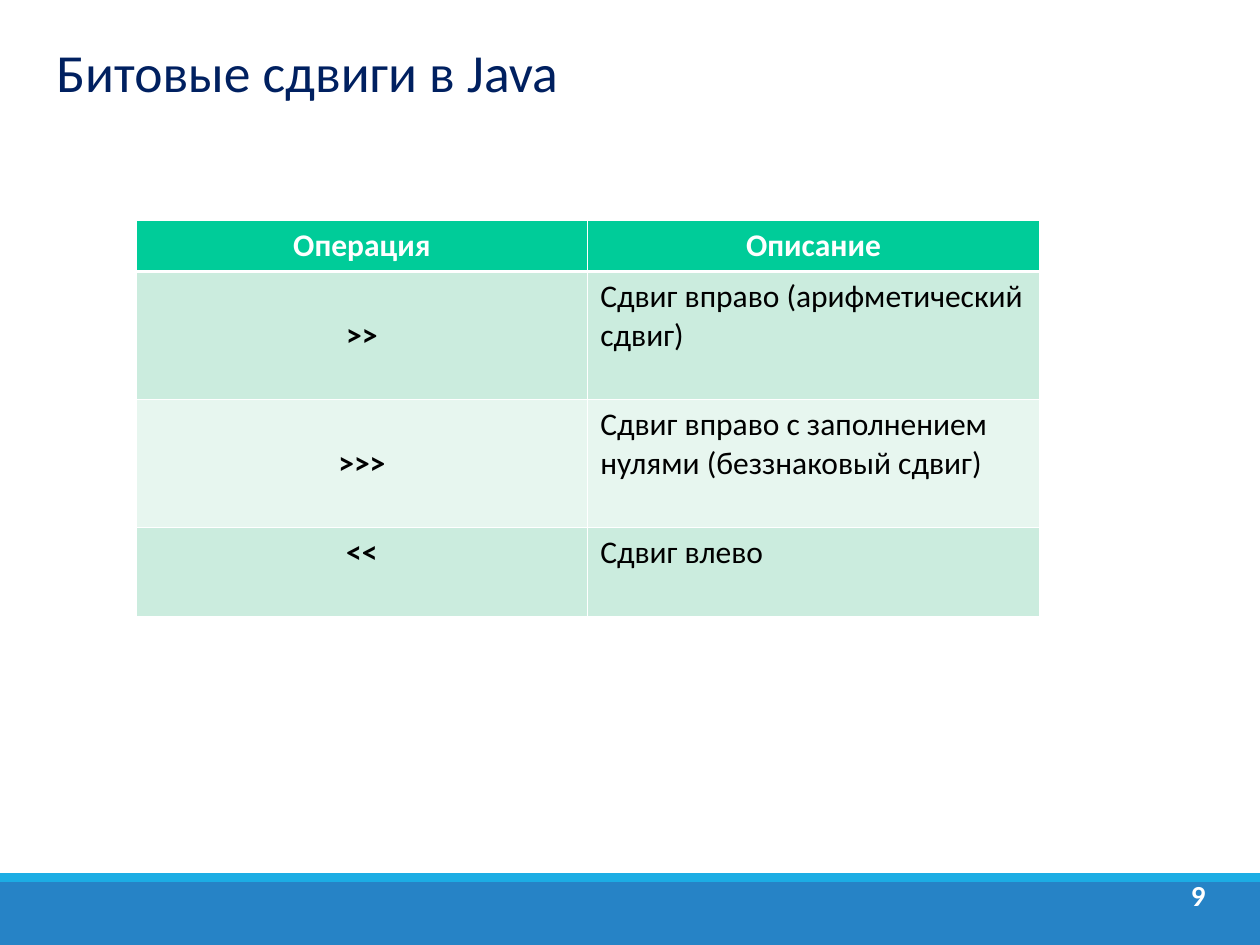
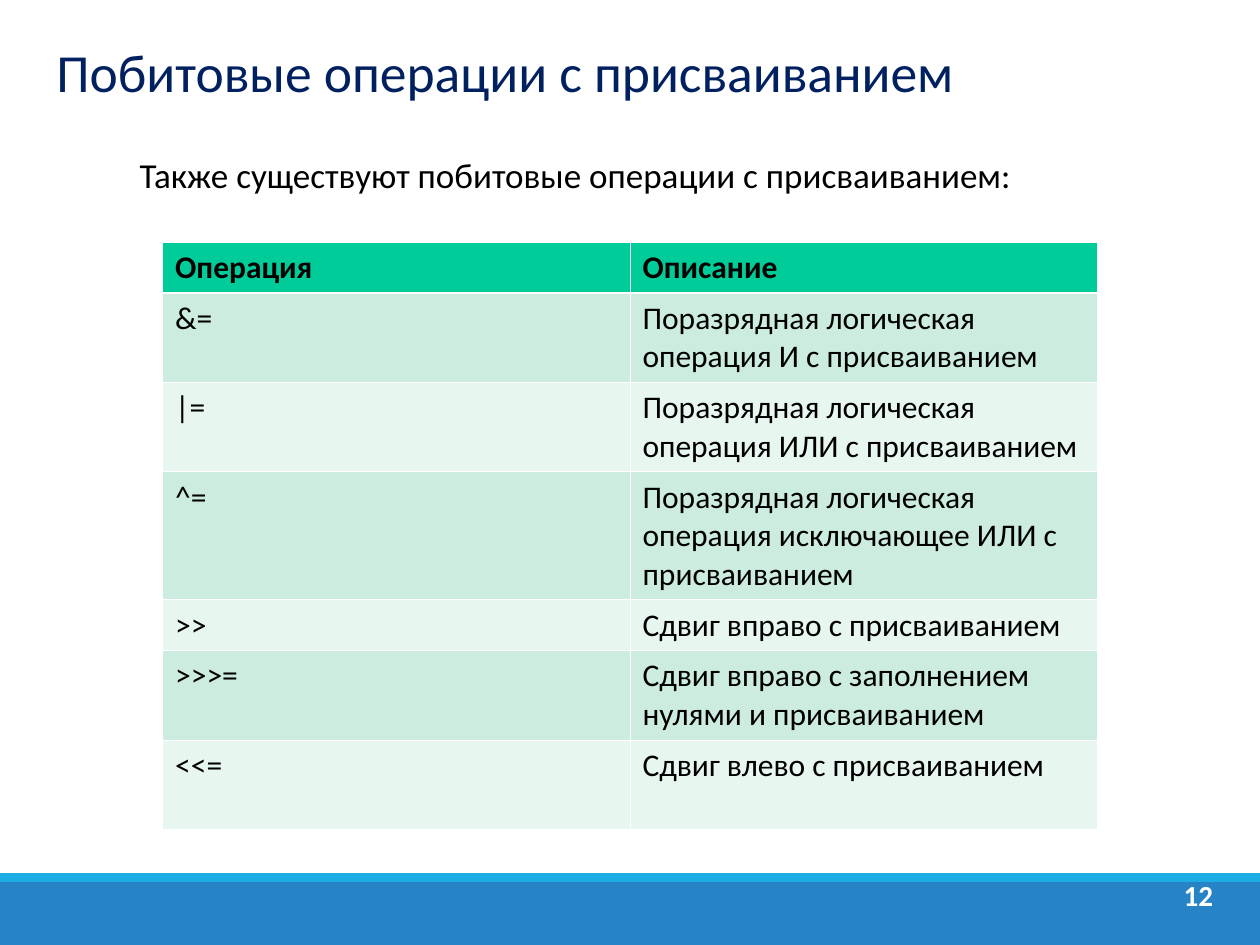
from lxml.etree import SubElement
from pptx import Presentation
from pptx.dml.color import RGBColor
from pptx.enum.shapes import MSO_SHAPE
from pptx.enum.text import MSO_ANCHOR, PP_ALIGN
from pptx.oxml.ns import qn
from pptx.util import Inches, Pt

COLORS = {
    "band": "2683C6",
    "stripe": "1CADE4",
    "title": "002060",
    "header": "00CC99",
    "odd_row": "CBECDE",
    "even_row": "E7F6EF",
    "white": "FFFFFF",
    "black": "000000",
}
FONT = "Calibri"
GRID_COLUMNS, GRID_ROWS = 100, 75
TABLE_SIZE = 18
LINE_HEIGHT = TABLE_SIZE * 1.22
CELL_PADDING = 7.2
THIN, THICK = 0.45, 1.47


class Deck:
    def __init__(self):
        self.presentation = Presentation()
        self.presentation.slide_width = Inches(10)
        self.presentation.slide_height = Inches(7.5)
        self.slide = None

    def x(self, columns):
        return round(self.presentation.slide_width * columns / GRID_COLUMNS)

    def y(self, rows):
        return round(self.presentation.slide_height * rows / GRID_ROWS)

    def box(self, left, top, width, height):
        return self.x(left), self.y(top), self.x(width), self.y(height)

    def new_slide(self, title, number):
        self.slide = self.presentation.slides.add_slide(self.presentation.slide_layouts[6])
        self.band(70, 5, "band")
        self.band(69.3, 0.7, "stripe")
        heading = self.text(title, (3.5, 2.8, 90, 6.3), 30.6, "title", anchor=MSO_ANCHOR.MIDDLE)
        page = self.text(str(number), (92.7, 69.5, 4.8, 4), 16.6, "white", True, PP_ALIGN.CENTER)
        heading.line_spacing = page.line_spacing = 0.9

    def band(self, top, height, color):
        shape = self.slide.shapes.add_shape(MSO_SHAPE.RECTANGLE, *self.box(0, top, GRID_COLUMNS, height))
        shape.shadow.inherit = False
        shape.fill.solid()
        shape.fill.fore_color.rgb = RGBColor.from_string(COLORS[color])
        shape.line.fill.background()

    def style(self, paragraph, size, color, bold=False, alignment=PP_ALIGN.LEFT):
        paragraph.alignment = alignment
        font = paragraph.font
        font.name, font.size, font.bold = FONT, Pt(size), bold
        font.color.rgb = RGBColor.from_string(COLORS[color])

    def text(self, words, area, size, color, bold=False, alignment=PP_ALIGN.LEFT, anchor=MSO_ANCHOR.TOP):
        frame = self.slide.shapes.add_textbox(*self.box(*area)).text_frame
        frame.word_wrap = True
        frame.vertical_anchor = anchor
        paragraph = frame.paragraphs[0]
        paragraph.text = words
        self.style(paragraph, size, color, bold, alignment)
        return paragraph

    def body(self, words):
        paragraph = self.text(words, (5, 11.7, 90, 55.8), 20, "black")
        properties = paragraph._p.get_or_add_pPr()
        properties.set("marL", str(self.x(0.1)))
        properties.set("indent", str(self.x(5)))

    def borders(self, cell, top, bottom):
        properties = cell._tc.get_or_add_tcPr()
        for side, width in (("lnL", THIN), ("lnR", THIN), ("lnT", top), ("lnB", bottom)):
            line = SubElement(properties, qn(f"a:{side}"), w=str(Pt(width)))
            fill = SubElement(line, qn("a:solidFill"))
            SubElement(fill, qn("a:srgbClr"), val=COLORS["white"])

    def table(self, operations, left, top, width, header_color, emphasis=False):
        rows = [("Операция", "Описание", 1), *operations]
        heights = [Pt(LINE_HEIGHT * lines + CELL_PADDING) for _, _, lines in rows]
        table = self.slide.shapes.add_table(
            len(rows), 2, self.x(left), self.y(top), self.x(width), sum(heights)
        ).table
        table.horz_banding = False
        for column in table.columns:
            column.width = self.x(width / 2)
        for index, (symbol, description, lines) in enumerate(rows):
            table.rows[index].height = heights[index]
            is_header = index == 0
            fill = "header" if is_header else ("even_row", "odd_row")[index % 2]
            for position, words in enumerate((symbol, description)):
                cell = table.cell(index, position)
                is_symbol = position == 0
                highlighted = emphasis and (is_header or is_symbol)
                self.borders(cell, THICK if index == 1 else THIN, THICK if is_header else THIN)
                cell.fill.solid()
                cell.fill.fore_color.rgb = RGBColor.from_string(COLORS[fill])
                cell.text = words
                if highlighted and lines == 3:
                    cell.vertical_anchor = MSO_ANCHOR.MIDDLE
                self.style(
                    cell.text_frame.paragraphs[0],
                    TABLE_SIZE,
                    header_color if is_header else "black",
                    is_header or highlighted,
                    PP_ALIGN.CENTER if highlighted else PP_ALIGN.LEFT,
                )


def main():
    deck = Deck()

    deck.new_slide("Битовые сдвиги в Java", 9)
    shifts = [
        (">>", "Сдвиг вправо (арифметический сдвиг)", 3),
        (">>>", "Сдвиг вправо с заполнением нулями (беззнаковый сдвиг)", 3),
        ("<<", "Сдвиг влево", 2),
    ]
    deck.table(shifts, 10.8, 17.5, 71.7, "white", emphasis=True)

    deck.new_slide("Побитовые операции с присваиванием", 12)
    deck.body("Также существуют побитовые операции с присваиванием:")
    assignments = [
        ("&=", "Поразрядная логическая операция И с присваиванием", 2),
        ("|=", "Поразрядная логическая операция ИЛИ с присваиванием", 2),
        ("^=", "Поразрядная логическая операция исключающее ИЛИ с присваиванием", 3),
        (">>", "Сдвиг вправо с присваиванием", 1),
        (">>>=", "Сдвиг вправо с заполнением нулями и присваиванием", 2),
        ("<<=", "Сдвиг влево с присваиванием", 2),
    ]
    deck.table(assignments, 12.9, 19.2, 74.2, "black")

    deck.presentation.save("out.pptx")


if __name__ == "__main__":
    main()
